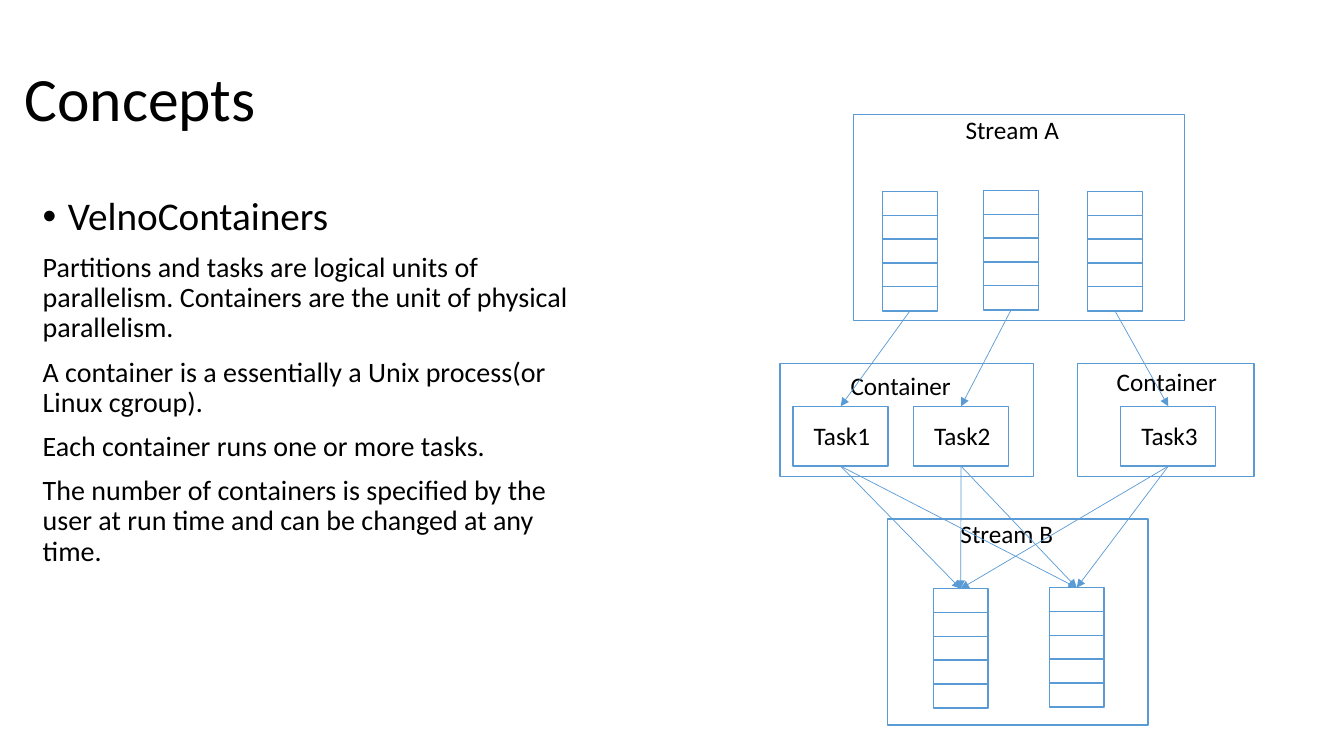
from dataclasses import dataclass
from typing import NamedTuple

from lxml import etree
from pptx import Presentation
from pptx.dml.color import RGBColor
from pptx.enum.shapes import MSO_CONNECTOR, MSO_SHAPE
from pptx.enum.text import MSO_ANCHOR
from pptx.oxml.ns import qn
from pptx.slide import Slide
from pptx.util import Pt

RECTANGLE = MSO_SHAPE.RECTANGLE
STRAIGHT = MSO_CONNECTOR.STRAIGHT
TOP = MSO_ANCHOR.TOP
MIDDLE = MSO_ANCHOR.MIDDLE


@dataclass(frozen=True)
class Theme:
    font: str = "Calibri"
    text: RGBColor = RGBColor(0x00, 0x00, 0x00)
    fill: RGBColor = RGBColor(0xFF, 0xFF, 0xFF)
    line: RGBColor = RGBColor(0x5B, 0x9B, 0xD5)
    title_size: float = 44
    heading_size: float = 28
    body_size: float = 20
    label_size: float = 18
    box_line: float = 1
    arrow_line: float = 0.5


class Box(NamedTuple):
    left: float
    top: float
    width: float
    height: float


class Panel(NamedTuple):
    box: Box
    label: str
    label_box: Box


class Stack(NamedTuple):
    left: float
    top: float

    @property
    def center(self) -> float:
        return self.left + CELL_WIDTH / 2

    @property
    def bottom(self) -> float:
        return self.top + (CELL_COUNT - 1) * CELL_PITCH + CELL_HEIGHT


class Task(NamedTuple):
    name: str
    left: float

    @property
    def center(self) -> float:
        return self.left + TASK_WIDTH / 2


THEME = Theme()

CELL_COUNT = 5
CELL_WIDTH, CELL_HEIGHT, CELL_PITCH = 39, 17.3, 17
TASK_TOP, TASK_WIDTH, TASK_HEIGHT = 290.2, 67.8, 42.8
LABEL_HEIGHT = 29

PANELS = [
    Panel(Box(557.3, 259.8, 180.8, 80.8), "Container", Box(600.5, 261.2, 113, LABEL_HEIGHT)),
    Panel(Box(769.7, 259.8, 126, 80.8), "Container", Box(790.6, 258.2, 113, LABEL_HEIGHT)),
    Panel(Box(609.8, 82, 236.2, 147), "Stream A", Box(682.6, 78, 90.7, LABEL_HEIGHT)),
    Panel(Box(634, 370.8, 186, 147), "Stream B", Box(679, 367, 90.7, LABEL_HEIGHT)),
]
TASKS = [Task("Task1", 566.6), Task("Task2", 652.6), Task("Task3", 800.6)]
INPUTS = [Stack(630.5, 136.8), Stack(702.7, 136.1), Stack(777, 136.8)]
OUTPUTS = [Stack(666.7, 420.5), Stack(749.6, 419.8)]

HEADING = "VelnoContainers"
BODY = [
    "Partitions and tasks are logical units of parallelism. "
    "Containers are the unit of physical parallelism.",
    "A container is a essentially a Unix process(or Linux cgroup).",
    "Each container runs one or more tasks.",
    "The number of containers is specified by the user at run time "
    "and can be changed at any time.",
]


def add_text(slide: Slide, box: Box, paragraphs: list[str], *, size: float,
             first_size: float | None = None, bullet_first: bool = False,
             line_spacing: float = 1.0, space_before: float = 0,
             anchor: MSO_ANCHOR = TOP) -> None:
    frame = slide.shapes.add_textbox(*map(Pt, box)).text_frame
    frame.word_wrap = True
    frame.vertical_anchor = anchor
    for index, text in enumerate(paragraphs):
        paragraph = frame.add_paragraph() if index else frame.paragraphs[0]
        paragraph.line_spacing = line_spacing
        paragraph.space_before = Pt(space_before)
        run = paragraph.add_run()
        run.text = text
        run.font.name = THEME.font
        run.font.size = Pt(first_size if first_size and index == 0 else size)
        run.font.color.rgb = THEME.text
        if bullet_first and index == 0:
            properties = paragraph._p.get_or_add_pPr()
            properties.set("marL", str(Pt(18)))
            properties.set("indent", str(Pt(-18)))
            etree.SubElement(properties, qn("a:buFont"), typeface="Arial")
            etree.SubElement(properties, qn("a:buChar"), char="•")


def add_box(slide: Slide, box: Box) -> None:
    shape = slide.shapes.add_shape(RECTANGLE, *map(Pt, box))
    shape.shadow.inherit = False
    shape.fill.solid()
    shape.fill.fore_color.rgb = THEME.fill
    shape.line.color.rgb = THEME.line
    shape.line.width = Pt(THEME.box_line)


def add_panel(slide: Slide, panel: Panel) -> None:
    add_box(slide, panel.box)
    add_text(slide, panel.label_box, [panel.label], size=THEME.label_size)


def add_task(slide: Slide, task: Task) -> None:
    add_box(slide, Box(task.left, TASK_TOP, TASK_WIDTH, TASK_HEIGHT))
    label_box = Box(task.left + 7.5, TASK_TOP + 6.5, 60, LABEL_HEIGHT)
    add_text(slide, label_box, [task.name], size=THEME.label_size)


def add_stack(slide: Slide, stack: Stack) -> None:
    for row in range(CELL_COUNT):
        top = stack.top + row * CELL_PITCH
        add_box(slide, Box(stack.left, top, CELL_WIDTH, CELL_HEIGHT))


def add_arrow(slide: Slide, start_x: float, start_y: float, end_x: float, end_y: float) -> None:
    ends = map(Pt, (start_x, start_y, end_x, end_y))
    connector = slide.shapes.add_connector(STRAIGHT, *ends)
    connector.line.color.rgb = THEME.line
    connector.line.width = Pt(THEME.arrow_line)
    etree.SubElement(connector.line._get_or_add_ln(), qn("a:tailEnd"), type="triangle")
    etree.SubElement(connector._element.spPr, qn("a:effectLst"))


def main() -> None:
    presentation = Presentation()
    presentation.slide_width = Pt(960)
    presentation.slide_height = Pt(540)
    slide = presentation.slides.add_slide(presentation.slide_layouts[6])

    add_text(slide, Box(10.4, 20.2, 828, 104.4), ["Concepts"], size=THEME.title_size,
             line_spacing=0.9, anchor=MIDDLE)
    add_text(slide, Box(23.4, 137, 397.4, 342.7), [HEADING, *BODY], size=THEME.body_size,
             first_size=THEME.heading_size, bullet_first=True,
             line_spacing=0.9, space_before=10)

    for panel in PANELS:
        add_panel(slide, panel)
    for task in TASKS:
        add_task(slide, task)
    for stack in INPUTS + OUTPUTS:
        add_stack(slide, stack)
    for stack, task in zip(INPUTS, TASKS):
        add_arrow(slide, stack.center, stack.bottom, task.center, TASK_TOP)
    for task in TASKS:
        for stack in OUTPUTS:
            add_arrow(slide, task.center, TASK_TOP + TASK_HEIGHT, stack.center, stack.top)

    presentation.save("out.pptx")


if __name__ == "__main__":
    main()
